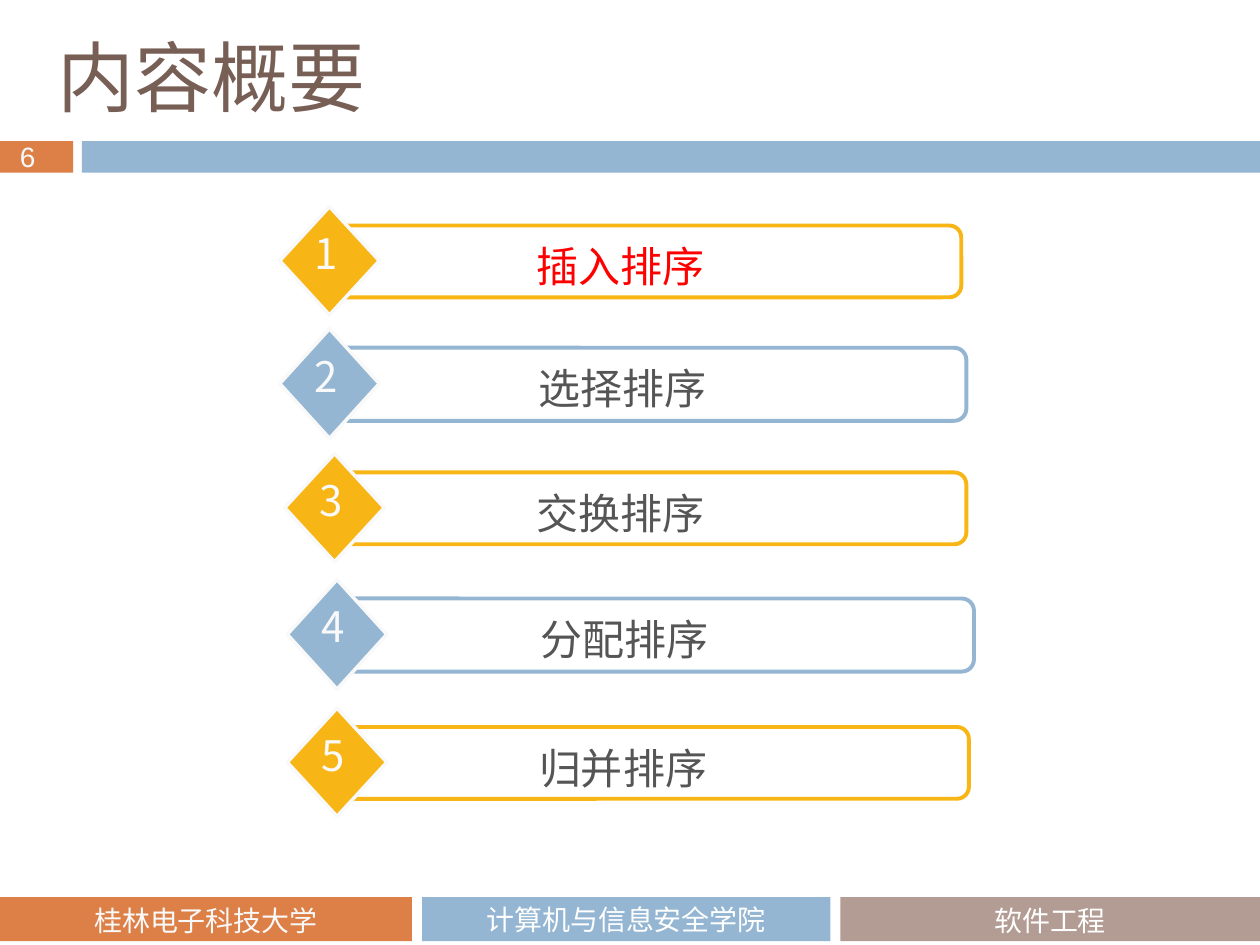
from dataclasses import dataclass

from lxml.etree import SubElement
from pptx import Presentation
from pptx.dml.color import RGBColor
from pptx.enum.shapes import MSO_SHAPE as Preset
from pptx.enum.text import MSO_ANCHOR as Anchor, MSO_AUTO_SIZE as AutoSize, PP_ALIGN as Align
from pptx.oxml.ns import qn
from pptx.util import Inches, Pt


@dataclass(frozen=True)
class Theme:
    orange: str = "DD8047"
    blue: str = "94B6D2"
    taupe: str = "B29C93"
    gold: str = "F7B615"
    brown: str = "775F55"
    grey: str = "555555"
    red: str = "FF0000"
    white: str = "FFFFFF"
    pale: str = "F9F9F9"
    title_font: str = "Noto Sans CJK JP"
    body_font: str = "Noto Sans CJK SC"
    footer_font: str = "Cabin"
    number_font: str = "Arial"
    title_size: int = 44
    body_size: int = 24
    small_size: int = 16


THEME = Theme()


def color(value):
    return RGBColor.from_string(value)


def add_block(shapes, preset, box, fill=None, line=None, line_width=0):
    block = shapes.add_shape(preset, *map(Inches, box))
    block.shadow.inherit = False
    if fill:
        block.fill.solid()
        block.fill.fore_color.rgb = color(fill)
    else:
        block.fill.background()
    if line:
        block.line.color.rgb = color(line)
        block.line.width = Pt(line_width)
    else:
        block.line.fill.background()
    return block


def add_label(shapes, box, text, font, size, ink, align=Align.CENTER, **frame_format):
    frame = shapes.add_textbox(*map(Inches, box)).text_frame
    settings = {"word_wrap": True, "auto_size": AutoSize.NONE} | frame_format
    for name, value in settings.items():
        setattr(frame, name, value)
    paragraph = frame.paragraphs[0]
    paragraph.alignment = align
    run = paragraph.add_run()
    run.text = text
    for name, value in {"name": font, "size": Pt(size)}.items():
        setattr(run.font, name, value)
    run.font.color.rgb = color(ink)
    # East Asian glyphs take their typeface from a:ea
    SubElement(run.font._element, qn("a:ea")).set("typeface", font)


def add_header(slide, box, title, page):
    left, top, width, height = box
    shapes = slide.shapes
    # Page number tab and the band beside it
    add_block(shapes, Preset.RECTANGLE, (left, top + 1.12, 0.58, 0.25), THEME.orange)
    add_block(shapes, Preset.RECTANGLE, (left + 0.65, top + 1.12, width - 0.65, 0.25), THEME.blue)
    add_label(shapes, (left + 0.06, top + 1.06, 0.48, 0.37), page, THEME.number_font,
              THEME.small_size, THEME.pale, Align.LEFT, word_wrap=False)
    add_label(shapes, (left + 0.36, top + 0.27, 5.67, 0.66), title, THEME.title_font,
              THEME.title_size, THEME.brown, Align.LEFT, vertical_anchor=Anchor.MIDDLE)


def add_topic(slide, box, number, topic, accent, ink, label_left, label_width):
    left, top, width, height = box
    shapes = slide.shapes.add_group_shape().shapes
    bar_left = left + 0.44
    add_block(shapes, Preset.ROUNDED_RECTANGLE, (bar_left, top + 0.15, width - 0.44, height - 0.29),
              line=accent, line_width=2.25)
    add_block(shapes, Preset.DIAMOND, (left, top, 0.79, height), accent, THEME.pale, 2)
    add_label(shapes, (label_left, top + 0.22, label_width, 0.5), topic,
              THEME.body_font, THEME.body_size, ink)
    add_label(shapes, (left + 0.18, top + 0.12, 0.37, 0.5), str(number),
              THEME.body_font, THEME.body_size, THEME.pale, word_wrap=False)


def add_agenda(slide):
    # Topic, badge left and top, row width, label left and width
    topics = [
        ("插入排序", 2.22, 1.64, 5.41, 2.96, 3.93),
        ("选择排序", 2.22, 2.61, 5.45, 3.20, 3.48),
        ("交换排序", 2.26, 3.60, 5.41, 2.96, 3.93),
        ("分配排序", 2.28, 4.60, 5.45, 2.98, 3.95),
        ("归并排序", 2.28, 5.62, 5.41, 2.98, 3.93),
    ]
    current = 1
    for number, (topic, left, top, width, label_left, label_width) in enumerate(topics, 1):
        accent, height = (THEME.gold, 0.86) if number % 2 else (THEME.blue, 0.87)
        ink = THEME.red if number == current else THEME.grey
        add_topic(slide, (left, top, width, height), number, topic, accent, ink,
                  label_left, label_width)


def add_footer(slide, box):
    left, top, width, height = box
    sections = [
        ("桂林电子科技大学", 0, 3.27, THEME.orange, THEME.pale, 0.32, Anchor.TOP),
        ("计算机与信息安全学院", 3.35, 3.24, THEME.blue, THEME.white, height, Anchor.MIDDLE),
        ("软件工程", 6.67, width - 6.67, THEME.taupe, THEME.white, 0.32, Anchor.TOP),
    ]
    for name, offset, span, fill, ink, label_height, anchor in sections:
        add_block(slide.shapes, Preset.RECTANGLE, (left + offset, top, span, height), fill)
        add_label(slide.shapes, (left + offset, top, span, label_height), name,
                  THEME.footer_font, THEME.small_size, ink, vertical_anchor=anchor)


def main():
    deck = Presentation()
    deck.slide_width, deck.slide_height = Inches(10), Inches(7.5)
    slide = deck.slides.add_slide(deck.slide_layouts[6])
    add_header(slide, (0, 0, 10, 1.37), "内容概要", "6")
    add_agenda(slide)
    add_footer(slide, (0, 7.12, 10, 0.35))
    deck.save("out.pptx")


if __name__ == "__main__":
    main()
